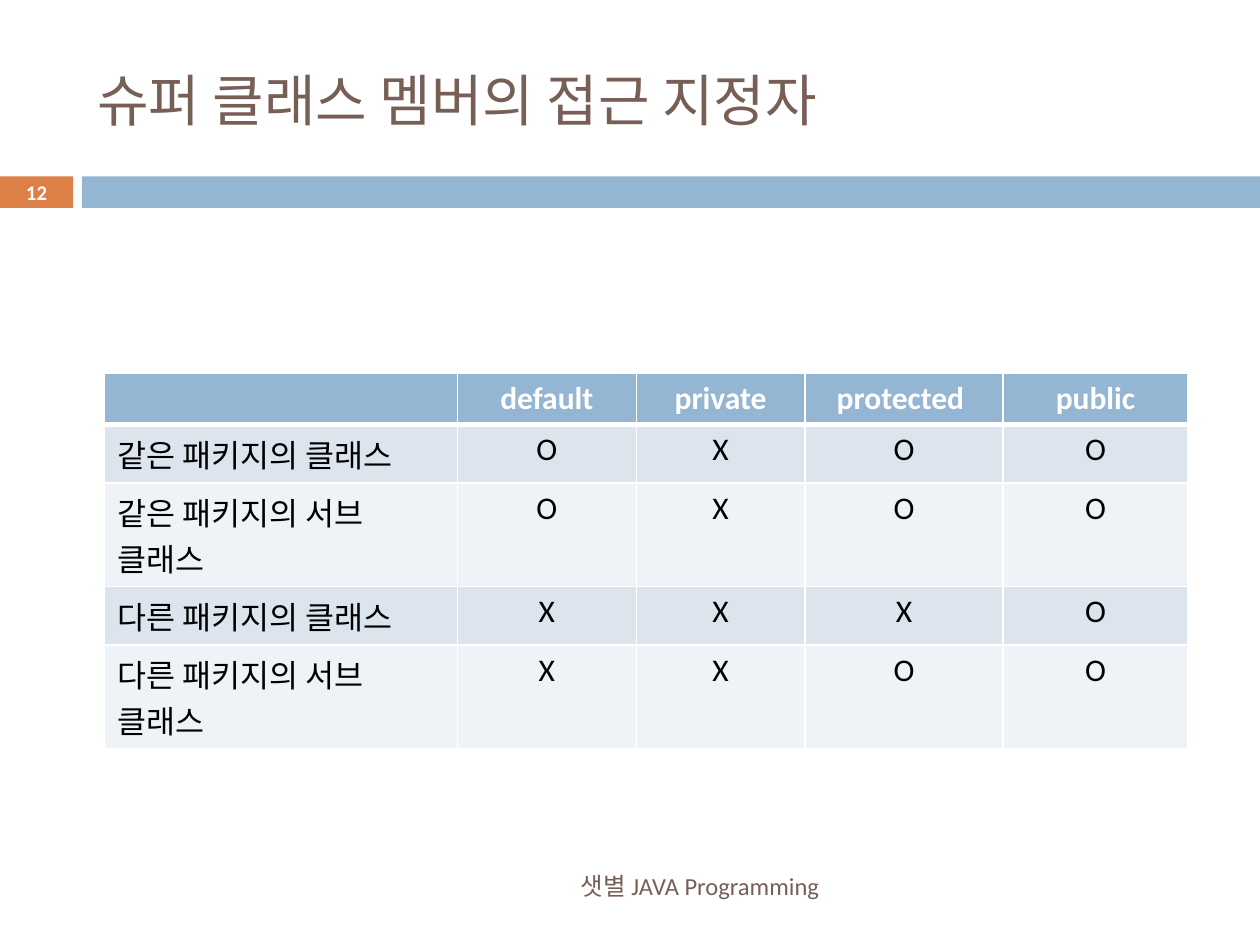
from lxml import etree
from pptx import Presentation
from pptx.dml.color import RGBColor
from pptx.enum import shapes, text
from pptx.oxml.ns import qn
from pptx.util import Inches, Pt

LATIN, KOREAN = "Calibri", "Noto Sans CJK KR"
WHITE, BLACK, BROWN = "FFFFFF", "000000", "775F55"
BLUE, ORANGE = "94B6D2", "DD8047"
BANDS = ["DCE5EE", "EEF3F7"]
LEFT, CENTER, RIGHT = text.PP_ALIGN.LEFT, text.PP_ALIGN.CENTER, text.PP_ALIGN.RIGHT

TITLE = "슈퍼 클래스 멤버의 접근 지정자"
PAGE_NUMBER = "12"
FOOTER = "샛별 JAVA Programming"
ACCESS = [
    ["", "default", "private", "protected ", "public"],
    ["같은 패키지의 클래스", "O", "X", "O", "O"],
    ["같은 패키지의 서브 클래스", "O", "X", "O", "O"],
    ["다른 패키지의 클래스", "X", "X", "X", "O"],
    ["다른 패키지의 서브 클래스", "X", "X", "O", "O"],
]
COLUMN_WIDTHS = [2.8, 1.42, 1.34, 1.57, 1.47]
ROW_HEIGHT = 0.41


def paint(fill, color):
    fill.solid()
    fill.fore_color.rgb = RGBColor.from_string(color)


def write(frame, words, size, color, align, bold=False, latin=LATIN):
    frame.text = words
    paragraph = frame.paragraphs[0]
    paragraph.alignment = align
    for run in paragraph.runs:
        font = run.font
        font.size, font.bold, font.name = Pt(size), bold, latin
        font.color.rgb = RGBColor.from_string(color)
        east_asian = etree.Element(qn("a:ea"), typeface=KOREAN)
        font._element.find(qn("a:latin")).addnext(east_asian)


def add_bar(slide, left, width, color):
    bar = slide.shapes.add_shape(shapes.MSO_SHAPE.RECTANGLE, Inches(left),
                                 Inches(1.4), Inches(width), Inches(0.25))
    bar.shadow.inherit = False
    paint(bar.fill, color)
    bar.line.fill.background()


def add_label(slide, box, words, size, color, align, bold=False):
    frame = slide.shapes.add_textbox(*map(Inches, box)).text_frame
    frame.word_wrap = True
    frame.vertical_anchor = text.MSO_ANCHOR.MIDDLE
    write(frame, words, size, color, align, bold)
    return frame


def set_borders(cell, bottom):
    """Draw white cell borders, 1 pt except for the bottom one."""
    widths = {"lnL": 1, "lnR": 1, "lnT": 1, "lnB": bottom}
    properties = cell._tc.get_or_add_tcPr()
    for place, (tag, width) in enumerate(widths.items()):
        line = etree.Element(qn(f"a:{tag}"), w=str(Pt(width)))
        fill = etree.SubElement(line, qn("a:solidFill"))
        etree.SubElement(fill, qn("a:srgbClr"), val=WHITE)
        properties.insert(place, line)


def add_access_table(slide):
    table = slide.shapes.add_table(
        len(ACCESS), len(COLUMN_WIDTHS), Inches(0.83), Inches(2.96),
        Inches(sum(COLUMN_WIDTHS)), Inches(ROW_HEIGHT * len(ACCESS))).table
    for column, width in zip(table.columns, COLUMN_WIDTHS):
        column.width = Inches(width)
    for r, row in enumerate(ACCESS):
        table.rows[r].height = Inches(ROW_HEIGHT)
        header = r == 0
        for c, words in enumerate(row):
            cell = table.cell(r, c)
            paint(cell.fill, BLUE if header else BANDS[(r - 1) % 2])
            set_borders(cell, bottom=3 if header else 1)
            write(cell.text_frame, words, 18, WHITE if header else BLACK,
                  CENTER if c else LEFT, bold=header)


def main():
    deck = Presentation()
    deck.slide_width, deck.slide_height = Inches(10), Inches(7.5)
    slide = deck.slides.add_slide(deck.slide_layouts[5])

    add_bar(slide, 0, 0.58, ORANGE)
    add_bar(slide, 0.65, 9.35, BLUE)

    title = slide.shapes.title
    title.left, title.top = Inches(0.67), Inches(0.25)
    title.width, title.height = Inches(8.92), Inches(1.08)
    title.text_frame.vertical_anchor = text.MSO_ANCHOR.MIDDLE
    write(title.text_frame, TITLE, 32, BROWN, LEFT, latin=KOREAN)

    add_access_table(slide)
    number = add_label(slide, (0, 1.39, 0.58, 0.27), PAGE_NUMBER, 11.9, WHITE,
                       CENTER, bold=True)
    number.margin_top = number.margin_bottom = 0
    add_label(slide, (0.67, 6.83, 5.93, 0.4), FOOTER, 14, BROWN, RIGHT)
    deck.save("out.pptx")


if __name__ == "__main__":
    main()
